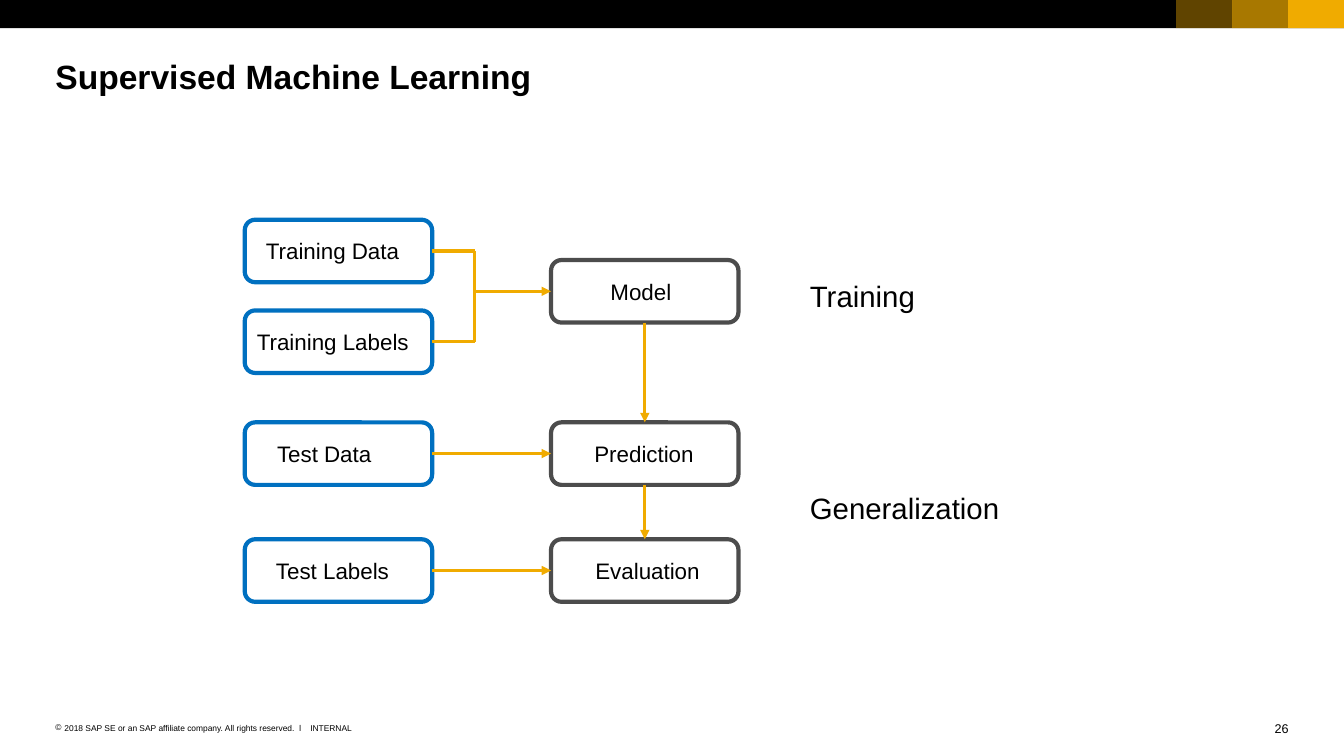
from lxml import etree
from pptx import Presentation
from pptx.dml.color import RGBColor
from pptx.enum.shapes import MSO_CONNECTOR, MSO_SHAPE
from pptx.enum.text import MSO_ANCHOR as ANCHOR, MSO_AUTO_SIZE as AUTO_SIZE, PP_ALIGN as ALIGN
from pptx.oxml.ns import qn
from pptx.util import Inches, Pt

BLACK = RGBColor(0x00, 0x00, 0x00)
GOLD = RGBColor(0xF0, 0xAB, 0x00)
BLUE = RGBColor(0x00, 0x70, 0xC0)
GRAY = RGBColor(0x4C, 0x4C, 0x4C)

SLIDE_W, SLIDE_H = 13.34, 7.5
MARGIN = 0.55
BOX_W, BOX_H = 1.86, 0.62
TOP, RIGHT, BOTTOM, LEFT = 0, 3, 2, 1


def write(frame, text, size, bold=False, align=ALIGN.LEFT, anchor=ANCHOR.TOP,
          wrap=True, insets=(0, 0, 0, 0)):
    frame.word_wrap = wrap
    frame.auto_size = AUTO_SIZE.NONE
    frame.vertical_anchor = anchor
    (frame.margin_left, frame.margin_top,
     frame.margin_right, frame.margin_bottom) = map(Inches, insets)
    paragraph = frame.paragraphs[0]
    paragraph.alignment = align
    run = paragraph.add_run()
    run.text = text
    run.font.name = "Arial"
    run.font.size = Pt(size)
    run.font.bold = bold
    run.font.color.rgb = BLACK
    return paragraph


def add_label(slide, box, text, size, **style):
    label = slide.shapes.add_textbox(*map(Inches, box))
    return write(label.text_frame, text, size, **style)


def add_top_band(slide, left, top, width, height):
    """Black band ending in three gold blocks that grow more opaque."""
    block_w = 0.555
    first_block = left + width - 3 * block_w
    parts = [(left, width, BLACK, 100)]
    parts += [(first_block + i * block_w, block_w, GOLD, opacity)
              for i, opacity in enumerate((40, 70, 100))]
    for x, w, color, opacity in parts:
        band = slide.shapes.add_shape(
            MSO_SHAPE.RECTANGLE, Inches(x), Inches(top), Inches(w), Inches(height))
        band.shadow.inherit = False
        band.line.fill.background()
        band.fill.solid()
        band.fill.fore_color.rgb = color
        if opacity < 100:
            srgb = band.fill._xPr.find(".//" + qn("a:srgbClr"))
            etree.SubElement(srgb, qn("a:alpha"), val=str(opacity * 1000))


def add_title(slide, left, top, width, height):
    title = slide.shapes.title
    title.left, title.top, title.width, title.height = map(
        Inches, (left, top, width, height))
    write(title.text_frame, "Supervised Machine Learning", 24, bold=True)


def add_footer(slide, left, top, width):
    notice = add_label(
        slide, (left, top + 0.02, 2.48, 0.1),
        "2018 SAP SE or an SAP affiliate company. All rights reserved.  ǀ", 6)
    properties = notice._p.get_or_add_pPr()
    properties.set("marL", str(Inches(0.09)))
    properties.set("indent", str(-Inches(0.09)))
    etree.SubElement(properties, qn("a:buFont"), typeface="Arial")
    etree.SubElement(properties, qn("a:buChar"), char="©")
    add_label(slide, (left + 2.53, top + 0.02, 0.42, 0.1), "INTERNAL", 6, wrap=False)
    add_label(slide, (left + width - 0.15, top, 0.15, 0.15), "26", 9,
              align=ALIGN.RIGHT, wrap=False)


def add_step(slide, left, top, text, indent, color):
    step = slide.shapes.add_shape(
        MSO_SHAPE.ROUNDED_RECTANGLE, Inches(left), Inches(top),
        Inches(BOX_W), Inches(BOX_H))
    step.shadow.inherit = False
    step.fill.background()
    step.line.color.rgb = color
    step.line.width = Pt(3)
    write(step.text_frame, text, 16, anchor=ANCHOR.MIDDLE, insets=(indent, 0, 0, 0))
    return step


def add_link(slide, start=(0, 0), end=(0, 0), source=None, target=None, arrow=True):
    """Gold line; source and target are (shape, side) pairs that replace its ends."""
    link = slide.shapes.add_connector(
        MSO_CONNECTOR.STRAIGHT, *map(Inches, (*start, *end)))
    if source:
        link.begin_connect(*source)
    if target:
        link.end_connect(*target)
    link.line.color.rgb = GOLD
    link.line.width = Pt(2.25)
    if arrow:
        etree.SubElement(link.line._get_or_add_ln(), qn("a:tailEnd"), type="triangle")
    etree.SubElement(link._element.spPr, qn("a:effectLst"))


def add_flow(slide, left, top):
    """Inputs on the left, processing steps in the middle, phases on the right."""
    middle = left + 3.04
    data_y, labels_y, model_y = top, top + 0.9, top + 0.4
    test_y, evaluation_y = top + 2.01, top + 3.17
    steps = {
        text: add_step(slide, x, y, text, indent, color)
        for text, x, y, indent, color in (
            ("Training Data", left, data_y, 0.18, BLUE),
            ("Training Labels", left, labels_y, 0.09, BLUE),
            ("Test Data", left, test_y, 0.29, BLUE),
            ("Test Labels", left, evaluation_y, 0.28, BLUE),
            ("Model", middle, model_y, 0.56, GRAY),
            ("Prediction", middle, test_y, 0.4, GRAY),
            ("Evaluation", middle, evaluation_y, 0.41, GRAY),
        )
    }

    join_x = left + 2.28
    data_mid, labels_mid, model_mid = (
        y + BOX_H / 2 for y in (data_y, labels_y, model_y))
    for text, y in (("Training Data", data_mid), ("Training Labels", labels_mid)):
        add_link(slide, end=(join_x, y), source=(steps[text], RIGHT), arrow=False)
    add_link(slide, (join_x, data_mid), (join_x, labels_mid), arrow=False)
    add_link(slide, start=(join_x, model_mid), target=(steps["Model"], LEFT))

    for source, source_side, target, target_side in (
        ("Test Data", RIGHT, "Prediction", LEFT),
        ("Test Labels", RIGHT, "Evaluation", LEFT),
        ("Model", BOTTOM, "Prediction", TOP),
        ("Prediction", BOTTOM, "Evaluation", TOP),
    ):
        add_link(slide, source=(steps[source], source_side),
                 target=(steps[target], target_side))

    for phase, y, width in (("Training", 0.53, 1.25), ("Generalization", 2.63, 2.1)):
        add_label(slide, (left + 5.51, top + y, width, 0.45), phase, 21,
                  wrap=False, insets=(0.1, 0.05, 0.1, 0.05))


def main():
    deck = Presentation()
    deck.slide_width, deck.slide_height = Inches(SLIDE_W), Inches(SLIDE_H)
    slide = deck.slides.add_slide(deck.slide_layouts[5])
    content_w = SLIDE_W - 2 * MARGIN
    add_top_band(slide, 0, 0, SLIDE_W, 0.28)
    add_title(slide, MARGIN, 0.55, content_w, 0.4)
    add_flow(slide, 2.43, 2.18)
    add_footer(slide, MARGIN, 7.15, content_w)
    deck.save("out.pptx")


if __name__ == "__main__":
    main()
